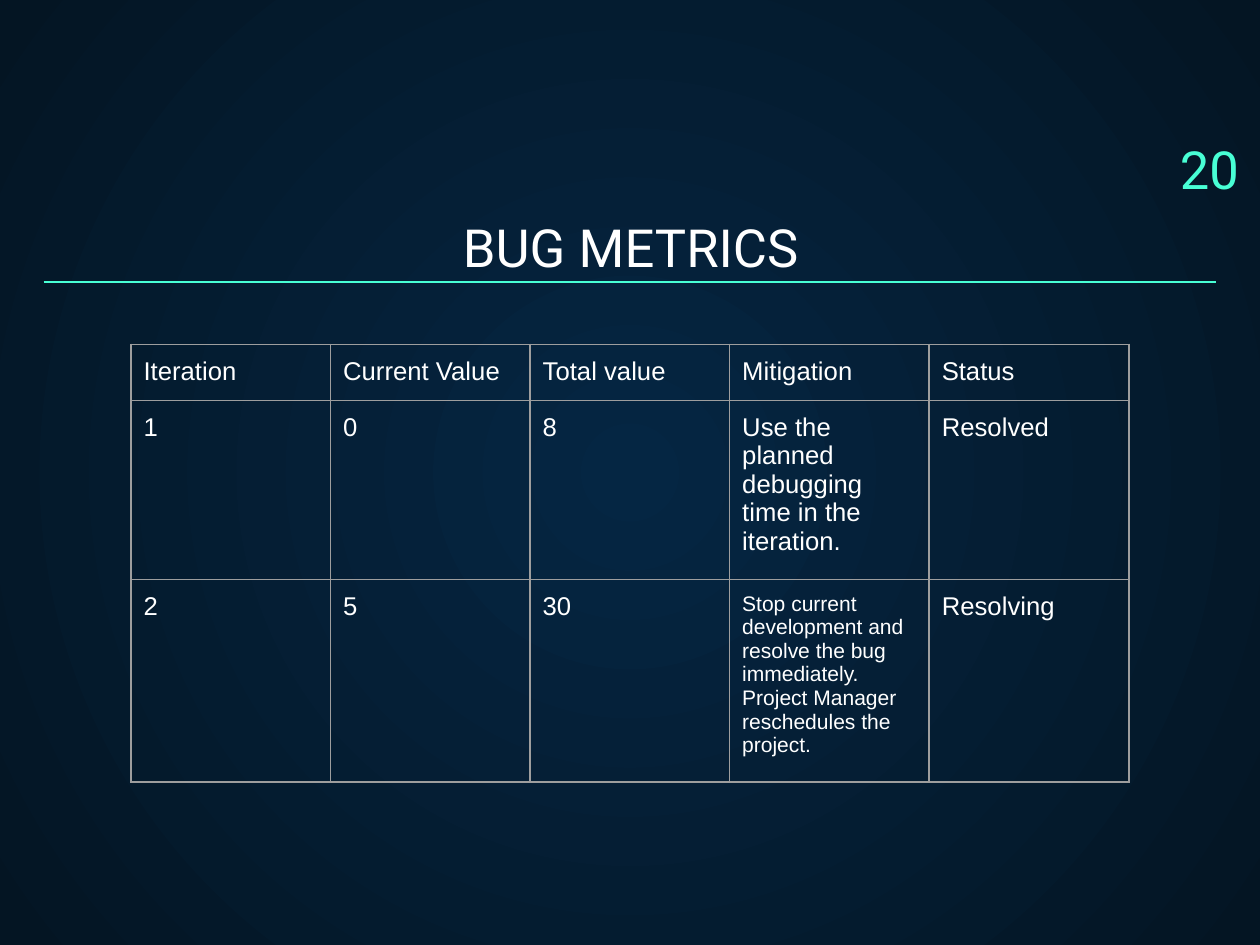
import pptx
import pptx.util
import pptx.dml.color
import pptx.enum.text
import pptx.enum.shapes
import pptx.oxml
import pptx.oxml.ns
from pptx.util import Inches

RGBColor = pptx.dml.color.RGBColor
WHITE = RGBColor(0xFF, 0xFF, 0xFF)
MINT = RGBColor(0x48, 0xFF, 0xD5)
GRAY = RGBColor(0x9E, 0x9E, 0x9E)
NAVY = RGBColor(0x05, 0x26, 0x43)
DARK = RGBColor(0x04, 0x15, 0x23)
ALIGN = pptx.enum.text.PP_ALIGN
ANCHOR = pptx.enum.text.MSO_ANCHOR
SPACE = pptx.oxml.ns.nsdecls("a")
PAD = Inches(0.3) // 4


def write(frame, text, size=11, font="Arial", color=WHITE, align=ALIGN.LEFT):
    frame.word_wrap = True
    para = frame.paragraphs[0]
    para.alignment = align
    run = para.add_run()
    run.text = text
    run.font.size = pptx.util.Pt(size)
    run.font.name = font
    run.font.color.rgb = color


deck = pptx.Presentation()
deck.slide_width = Inches(7.5)
deck.slide_height = Inches(7.5) * 3 // 4
slide = deck.slides.add_slide(deck.slide_layouts[6])

fill = slide.background.fill
fill.gradient()
for stop, color in zip(fill.gradient_stops, (NAVY, DARK)):
    stop.color.rgb = color
grad = slide.element.find(".//" + pptx.oxml.ns.qn("a:gradFill"))
grad.remove(grad.find(pptx.oxml.ns.qn("a:lin")))
grad.append(pptx.oxml.parse_xml(
    f'<a:path {SPACE} path="circle">'
    '<a:fillToRect l="50000" t="50000" r="50000" b="50000"/></a:path>'))

heads = [
    ("BUG METRICS", 0.26, 1.23, 6.99, WHITE, ALIGN.CENTER, ANCHOR.BOTTOM),
    ("20", 6.48, 0.74, 0.97, MINT, ALIGN.RIGHT, ANCHOR.TOP),
]
for text, left, top, width, color, align, anchor in heads:
    box = slide.shapes.add_textbox(
        Inches(left), Inches(top), Inches(width), Inches(0.5))
    frame = box.text_frame
    frame.margin_left = frame.margin_right = PAD
    frame.margin_top = frame.margin_bottom = PAD
    frame.vertical_anchor = anchor
    write(frame, text, size=22.5, font="Roboto", color=color, align=align)

rule = slide.shapes.add_connector(
    pptx.enum.shapes.MSO_CONNECTOR.STRAIGHT,
    Inches(0.26), Inches(1.68), Inches(7.24), Inches(1.68))
rule.line.color.rgb = MINT
rule.line.width = pptx.util.Pt(0.75)
rule.element.spPr.append(pptx.oxml.parse_xml(f"<a:effectLst {SPACE}/>"))

rows = [
    ("Iteration", "Current Value", "Total value", "Mitigation", "Status"),
    ("1", "0", "8", "Use the planned debugging time in the iteration.",
     "Resolved"),
    ("2", "5", "30", "Stop current development and resolve the bug "
     "immediately. Project Manager reschedules the project.", "Resolving"),
]
table = slide.shapes.add_table(
    3, 5, Inches(0.78), Inches(2.05), Inches(5.94), Inches(2.6)).table
table.first_row = False
table.horz_banding = False
for col in table.columns:
    col.width = Inches(5.94) // 5
for row, height in zip(table.rows, (0.32, 0.85, 1.2)):
    row.height = Inches(height)

for r, texts in enumerate(rows):
    for c, text in enumerate(texts):
        cell = table.cell(r, c)
        cell.margin_left = cell.margin_right = PAD
        cell.margin_top = cell.margin_bottom = PAD
        write(cell.text_frame, text, size=9 if (r, c) == (2, 3) else 11)
        props = cell._tc.get_or_add_tcPr()
        for side in "LRTB":
            props.append(pptx.oxml.parse_xml(
                f'<a:ln{side} {SPACE} w="9525"><a:solidFill>'
                f'<a:srgbClr val="{GRAY}"/></a:solidFill></a:ln{side}>'))
        cell.fill.background()

deck.save("out.pptx")
